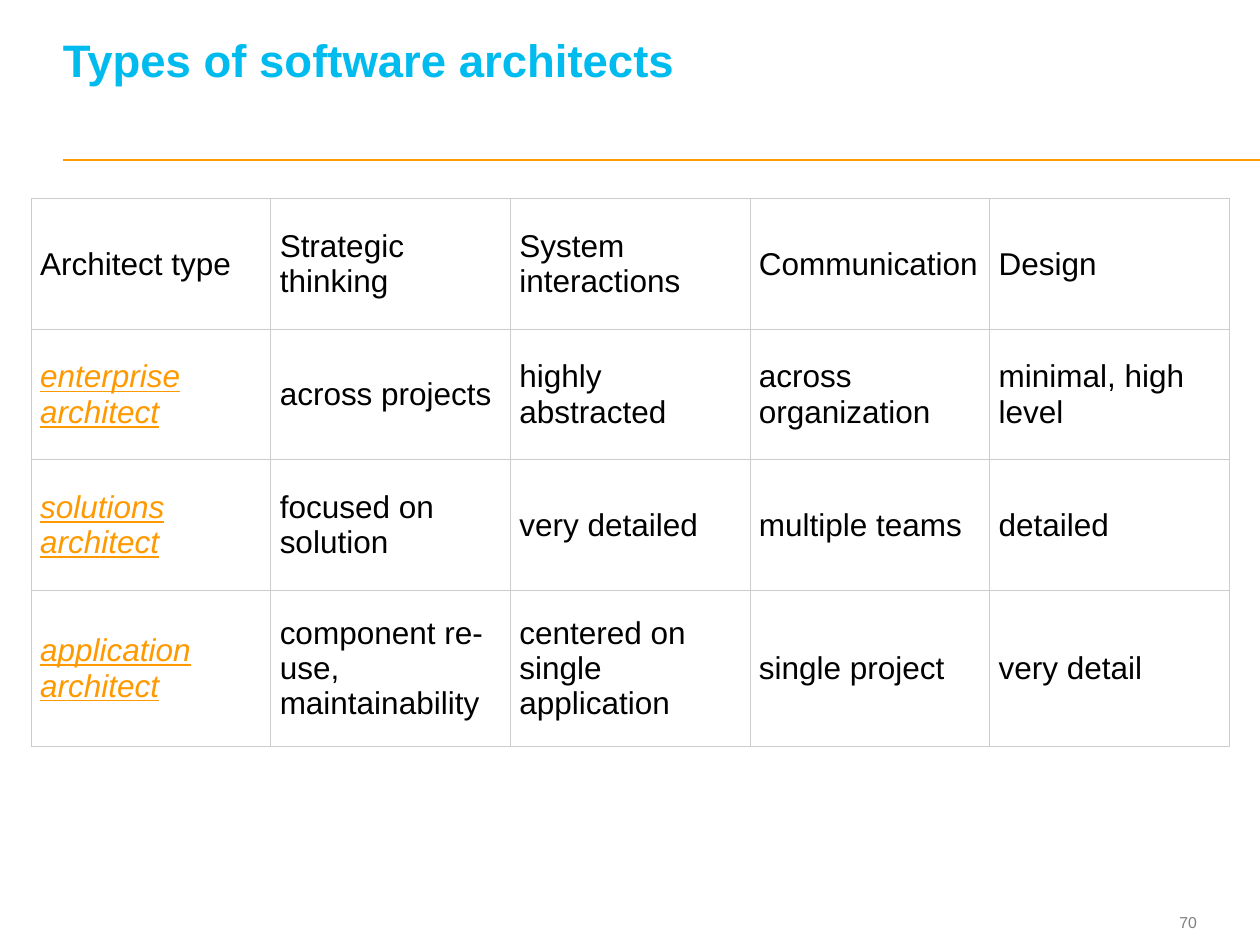
from lxml import etree
from pptx import Presentation
from pptx import util as u
from pptx.dml.color import RGBColor
from pptx.enum import shapes, text
from pptx.oxml import ns

ORANGE = RGBColor(0xFF, 0x99, 0x00)
CYAN = RGBColor(0x00, 0xBB, 0xEE)
GREY = RGBColor(0x7F, 0x7F, 0x7F)
BORDER = RGBColor(0xCC, 0xCC, 0xCC)
BLACK = RGBColor(0, 0, 0)
WHITE = RGBColor(0xFF, 0xFF, 0xFF)

ROWS = [
    ["Architect type", "Strategic thinking", "System interactions", "Communication", "Design"],
    ["enterprise architect", "across projects", "highly abstracted", "across organization", "minimal, high level"],
    ["solutions architect", "focused on solution", "very detailed", "multiple teams", "detailed"],
    ["application architect", "component re-use, maintainability", "centered on single application",
     "single project", "very detail"],
]
ROW_HEIGHTS = [2.63, 2.63, 2.63, 3.15]
COLUMN_WIDTH = 4.83


def write(paragraph, words, color, **formats):
    span = paragraph.add_run()
    span.text = words
    span.font.color.rgb = color
    for name, value in {"name": "Arial", **formats}.items():
        setattr(span.font, name, value)


def add_border(cell, side):
    line = etree.SubElement(cell._tc.get_or_add_tcPr(), ns.qn(f"a:{side}"), w=str(u.Pt(0.6)))
    fill = etree.SubElement(line, ns.qn("a:solidFill"))
    etree.SubElement(fill, ns.qn("a:srgbClr"), val=str(BORDER))


deck = Presentation()
deck.slide_width, deck.slide_height = u.Cm(25.4), u.Cm(19.05)
page = deck.slides.add_slide(deck.slide_layouts[6])

rule = page.shapes.add_connector(
    shapes.MSO_CONNECTOR.STRAIGHT, u.Cm(1.27), u.Cm(3.23), u.Cm(25.4), u.Cm(3.23))
rule.line.color.rgb = ORANGE
rule.line.width = u.Pt(1)
etree.SubElement(rule._element.spPr, ns.qn("a:effectLst"))

LABELS = [
    ("70", (22.63, 18.24, 1.5, 0.69), 0, GREY, {"size": u.Pt(9)},
     text.MSO_ANCHOR.MIDDLE, {"alignment": text.PP_ALIGN.RIGHT}),
    ("Types of software architects", (1.27, 0.48, 22.78, 2.18), 0.92, CYAN,
     {"size": u.Pt(26), "bold": True}, text.MSO_ANCHOR.BOTTOM, {"line_spacing": u.Pt(26)}),
]
for words, place, bottom, color, formats, anchor, layout in LABELS:
    box = page.shapes.add_textbox(*map(u.Cm, place))
    frame = {"word_wrap": True, "vertical_anchor": anchor, "margin_left": 0, "margin_top": 0,
             "margin_right": 0, "margin_bottom": u.Cm(bottom)}
    for name, value in frame.items():
        setattr(box.text_frame, name, value)
    para = box.text_frame.paragraphs[0]
    for name, value in layout.items():
        setattr(para, name, value)
    write(para, words, color, **formats)

table = page.shapes.add_table(
    len(ROWS), len(ROWS[0]), u.Cm(0.63), u.Cm(4.01),
    u.Cm(COLUMN_WIDTH * len(ROWS[0])), u.Cm(sum(ROW_HEIGHTS))).table
table.first_row = False
table.horz_banding = False
for column in table.columns:
    column.width = u.Cm(COLUMN_WIDTH)

CELL_FORMAT = {
    "vertical_anchor": text.MSO_ANCHOR.MIDDLE,
    "margin_left": u.Cm(0.18), "margin_right": u.Cm(0.18),
    "margin_top": u.Cm(0.25), "margin_bottom": u.Cm(0.25),
}
for row, (entries, height) in enumerate(zip(ROWS, ROW_HEIGHTS)):
    table.rows[row].height = u.Cm(height)
    for column, words in enumerate(entries):
        cell = table.cell(row, column)
        for name, value in CELL_FORMAT.items():
            setattr(cell, name, value)
        for side in ("lnL", "lnR", "lnT", "lnB"):
            add_border(cell, side)
        cell.fill.solid()
        cell.fill.fore_color.rgb = WHITE
        is_role = row > 0 and column == 0
        write(cell.text_frame.paragraphs[0], words, ORANGE if is_role else BLACK,
              size=u.Pt(18), italic=is_role, underline=is_role)

deck.save("out.pptx")
